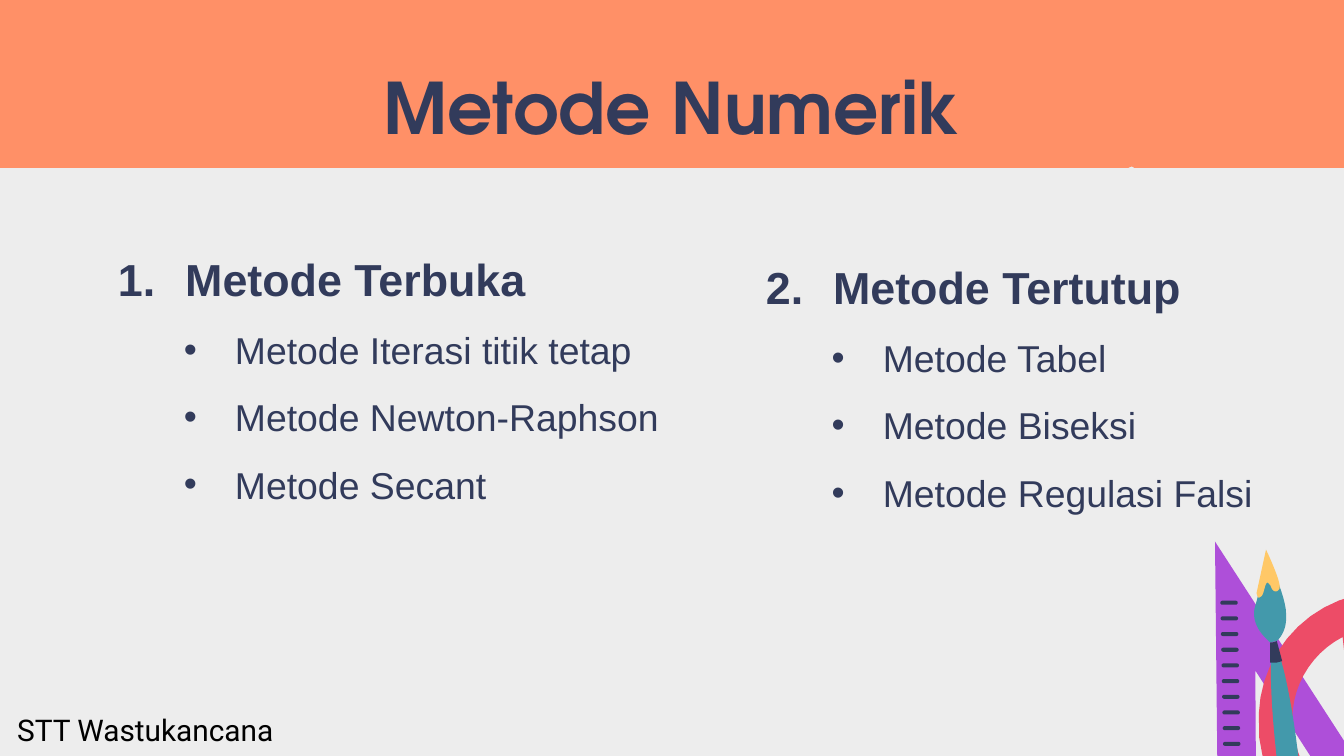
import pptx
import pptx.dml.color
import pptx.enum.shapes
import pptx.enum.text
import pptx.oxml.ns
import pptx.util
from lxml import etree

RGBColor = pptx.dml.color.RGBColor
Inches = pptx.util.Inches
Pt = pptx.util.Pt

NAVY = RGBColor(0x32, 0x3B, 0x5B)
ORANGE = RGBColor(0xFF, 0x90, 0x67)
GREY = RGBColor(0xED, 0xED, 0xED)
PURPLE = RGBColor(0xAE, 0x4F, 0xD9)
RED = RGBColor(0xED, 0x4C, 0x67)
TEAL = RGBColor(0x43, 0x99, 0xAB)
YELLOW = RGBColor(0xFF, 0xC8, 0x67)
BLACK = RGBColor(0, 0, 0)

WIDTH = 10
HEIGHT = WIDTH * 9 / 16

# Content
TITLE = "Metode Numerik"
FOOTER = "STT Wastukancana"
# (number, heading, items, box)
COLUMNS = [
    (1, "Metode Terbuka",
     ["Metode Iterasi titik tetap", "Metode Newton-Raphson", "Metode Secant"],
     (0.78, 1.62, 5.64, 2.22)),
    (2, "Metode Tertutup",
     ["Metode Tabel", "Metode Biseksi", "Metode Regulasi Falsi"],
     (5.6, 1.68, 4.18, 2.22)),
]

# Outlines in inches: two numbers are a corner, six are a Bézier curve
BAND = [[(0, 0), (0, 1.25), (8.39, 1.25), (8.4, 1.25, 8.41, 1.24, 8.42, 1.24),
         (8.43, 1.24, 8.44, 1.25, 8.44, 1.25), (WIDTH, 1.25), (WIDTH, 0)]]
SET_SQUARE = [[(10.37, 6.59), (9.34, 4.99), (9.35, 6.6)],
              [(10.86, 6.84), (9.07, 6.86), (9.04, 4.03)]]
PROTRACTOR = [
    [(10.13, 6.05), (9.99, 4.74), (9.74, 4.87, 9.59, 5.14, 9.62, 5.42),
     (9.63, 5.46), (9.66, 5.74, 9.86, 5.97, 10.13, 6.05)],
    [(10.41, 6.33), (9.89, 6.38, 9.43, 6.01, 9.37, 5.49), (9.37, 5.44),
     (9.32, 4.93, 9.69, 4.46, 10.21, 4.41)],
]
BRUSH_HANDLE = [[
    (9.69, 6.62), (9.69, 6.62, 9.7, 6.62, 9.7, 6.62),
    (9.75, 6.62, 9.73, 6.21, 9.67, 5.71), (9.62, 5.25, 9.54, 4.87, 9.49, 4.82),
    (9.49, 4.81, 9.49, 4.81, 9.48, 4.81), (9.44, 4.82, 9.45, 5.23, 9.51, 5.73),
    (9.56, 6.19, 9.64, 6.57, 9.69, 6.62)]]
BRUSH_FERRULE = [[(9.45, 4.93), (9.5, 4.93), (9.54, 4.92), (9.5, 4.77),
                  (9.47, 4.78), (9.45, 4.78)]]
BRUSH_HEAD = [[
    (9.41, 4.74), (9.43, 4.76, 9.45, 4.78, 9.45, 4.78), (9.5, 4.77),
    (9.5, 4.77, 9.58, 4.71, 9.57, 4.57), (9.57, 4.43, 9.43, 4.15, 9.43, 4.15),
    (9.43, 4.15, 9.38, 4.37, 9.34, 4.51), (9.31, 4.6, 9.36, 4.69, 9.41, 4.74)]]
BRUSH_TIP = [[
    (9.36, 4.44), (9.36, 4.45, 9.37, 4.45, 9.38, 4.44),
    (9.41, 4.43, 9.41, 4.31, 9.44, 4.34), (9.44, 4.34, 9.44, 4.35, 9.45, 4.35),
    (9.46, 4.37, 9.46, 4.38, 9.47, 4.39), (9.49, 4.41, 9.51, 4.4, 9.52, 4.38),
    (9.54, 4.34, 9.42, 4.09, 9.42, 4.09), (9.35, 4.41),
    (9.35, 4.41, 9.35, 4.43, 9.36, 4.44)]]
TICKS = 10
TICK_TOP, TICK_BOTTOM = 4.47, 5.52
TICK_LEFT, TICK_DRIFT = 9.08, 0.02
TICK_WIDTH, TICK_HEIGHT = 0.13, 0.03


def flatten(contour, steps=12):
    """Turn corners and Bézier curves into a list of EMU points."""
    points = []
    for segment in contour:
        if len(segment) == 2:
            points.append(segment)
            continue
        start = points[-1]
        first, second, end = segment[:2], segment[2:4], segment[4:]
        for step in range(1, steps + 1):
            t = step / steps
            u = 1 - t
            points.append(tuple(
                u**3 * a + 3 * u * u * t * b + 3 * u * t * t * c + t**3 * d
                for a, b, c, d in zip(start, first, second, end)))
    return [(Inches(x), Inches(y)) for x, y in points]


def paint(shape, color):
    shape.shadow.inherit = False
    shape.fill.solid()
    shape.fill.fore_color.rgb = color
    shape.line.fill.background()


def add_outline(slide, contours, color):
    builder = None
    for contour in contours:
        start, *rest = flatten(contour)
        if builder is None:
            builder = slide.shapes.build_freeform(*start, scale=1.0)
        else:
            builder.move_to(*start)
        builder.add_line_segments(rest, close=True)
    paint(builder.convert_to_shape(), color)


def add_frame(slide, box):
    frame = slide.shapes.add_textbox(*map(Inches, box)).text_frame
    frame.word_wrap = True
    return frame


def add_run(paragraph, text, font, size, color, bold=False):
    run = paragraph.add_run()
    run.text = text
    run.font.name = font
    run.font.size = Pt(size)
    run.font.bold = bold
    run.font.color.rgb = color


def add_marker(paragraph, left, hanging, tag, **attributes):
    paragraph.line_spacing = 1.5
    properties = paragraph._p.get_or_add_pPr()
    properties.set("marL", str(Inches(left)))
    properties.set("indent", str(-Inches(hanging)))
    qn = pptx.oxml.ns.qn
    color = etree.SubElement(properties, qn("a:buClr"))
    etree.SubElement(color, qn("a:srgbClr"), val=str(NAVY))
    etree.SubElement(properties, qn("a:buFont"), typeface="Arial")
    etree.SubElement(properties, qn(tag), **attributes)


presentation = pptx.Presentation()
presentation.slide_width = Inches(WIDTH)
presentation.slide_height = Inches(HEIGHT)
slide = presentation.slides.add_slide(presentation.slide_layouts[6])
slide.background.fill.solid()
slide.background.fill.fore_color.rgb = GREY

# Title band
add_outline(slide, BAND, ORANGE)
frame = add_frame(slide, (0.78, 0.37, 8.44, 0.77))
frame.margin_top, frame.margin_bottom = Inches(0.17), Inches(0.1)
frame.vertical_anchor = pptx.enum.text.MSO_ANCHOR.MIDDLE
frame.paragraphs[0].alignment = pptx.enum.text.PP_ALIGN.CENTER
add_run(frame.paragraphs[0], TITLE, "TeX Gyre Adventor", 38, NAVY, bold=True)

# Two numbered lists
for number, heading, items, box in COLUMNS:
    frame = add_frame(slide, box)
    frame.auto_size = pptx.enum.text.MSO_AUTO_SIZE.SHAPE_TO_FIT_TEXT
    paragraph = frame.paragraphs[0]
    add_marker(paragraph, 0.5, 0.5, "a:buAutoNum",
               type="arabicPeriod", startAt=str(number))
    add_run(paragraph, heading, "Arial", 24, NAVY, bold=True)
    for item in items:
        paragraph = frame.add_paragraph()
        add_marker(paragraph, 0.87, 0.38, "a:buChar", char="•")
        add_run(paragraph, item, "Arial", 20, NAVY)

# Set square with its scale
add_outline(slide, SET_SQUARE, PURPLE)
for index in range(TICKS):
    share = index / (TICKS - 1)
    tick = slide.shapes.add_shape(
        pptx.enum.shapes.MSO_SHAPE.ROUNDED_RECTANGLE,
        Inches(TICK_LEFT + share * TICK_DRIFT),
        Inches(TICK_TOP + share * (TICK_BOTTOM - TICK_TOP)),
        Inches(TICK_WIDTH), Inches(TICK_HEIGHT))
    tick.adjustments[0] = 0.5
    paint(tick, NAVY)

# Protractor and brush
for contours, color in [(PROTRACTOR, RED), (BRUSH_HANDLE, TEAL),
                        (BRUSH_FERRULE, NAVY), (BRUSH_HEAD, TEAL),
                        (BRUSH_TIP, YELLOW)]:
    add_outline(slide, contours, color)

# Footer
frame = add_frame(slide, (0.03, 5.25, 2.11, 0.37))
frame.auto_size = pptx.enum.text.MSO_AUTO_SIZE.SHAPE_TO_FIT_TEXT
add_run(frame.paragraphs[0], FOOTER, "Roboto", 16, BLACK)

presentation.save("out.pptx")
